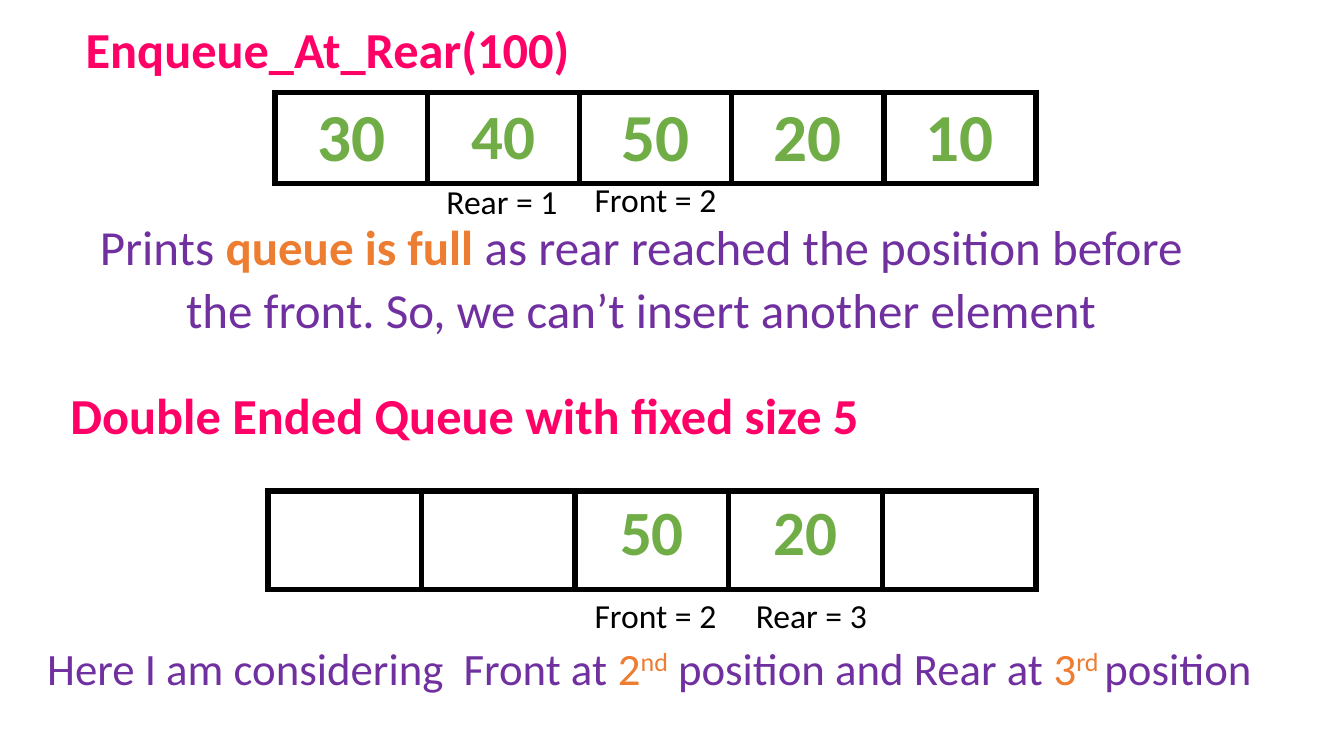
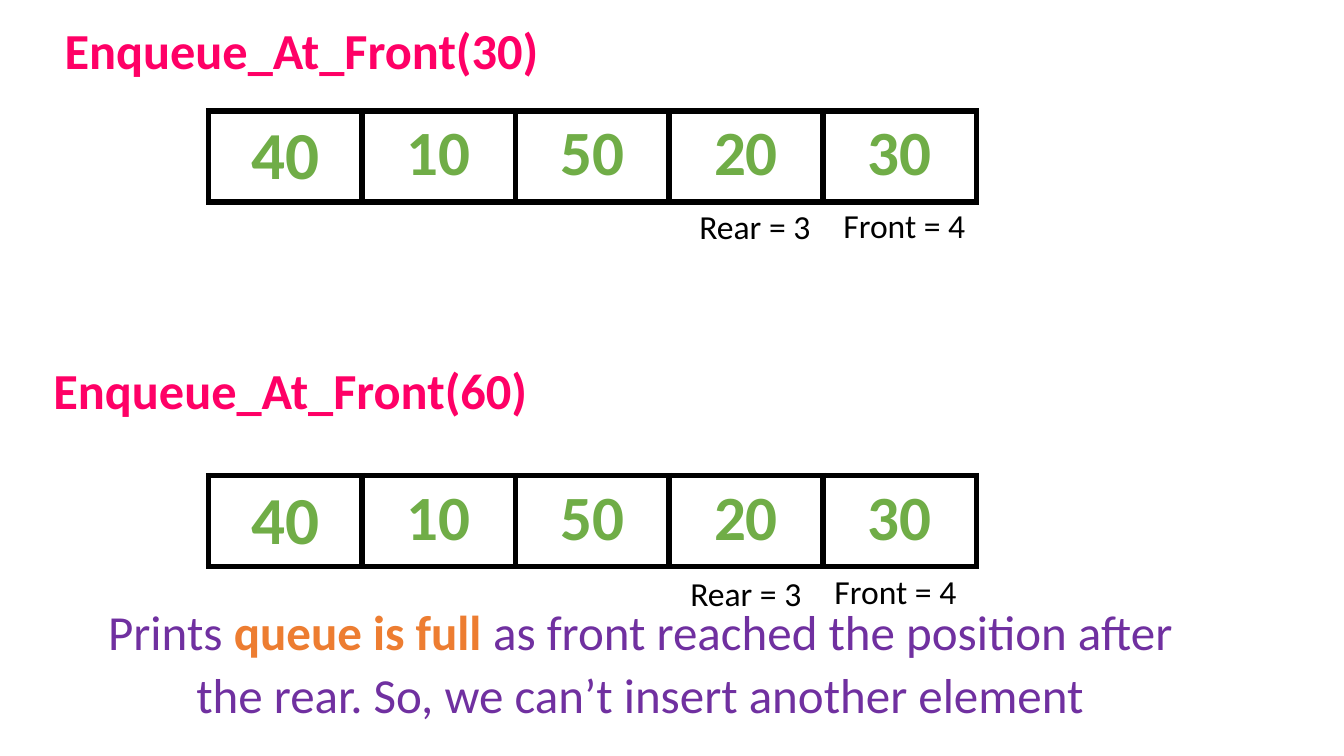
from lxml import etree
from pptx import Presentation
from pptx.dml.color import RGBColor
from pptx.enum import text
from pptx.oxml.ns import qn
from pptx.util import Pt

FONT = "Calibri"
PINK, GREEN, PURPLE, ORANGE = "FF0066", "70AD47", "7030A0", "ED7D31"
BLACK, WHITE = "000000", "FFFFFF"
CENTER, LEFT = text.PP_ALIGN.CENTER, text.PP_ALIGN.LEFT
MIDDLE, TOP = text.MSO_ANCHOR.MIDDLE, text.MSO_ANCHOR.TOP

# A note is a list of (text, style) runs
NOTE_STYLES = {
    "plain": {"color": PURPLE},
    "key": {"color": ORANGE},
    "bold": {"color": ORANGE, "bold": True},
    "super": {"color": ORANGE, "raised": True},
}


def full_note(tail):
    return [("Prints ", "plain"), ("queue is full ", "bold"), (tail, "plain")]


POSITION_NOTE = [
    ("Here I am considering  Front at ", "plain"), ("2", "key"), ("nd", "super"),
    (" position and Rear at ", "plain"), ("3", "key"), ("rd ", "super"),
    ("position", "plain"),
]

# A queue cell is (value, size, anchor)
EMPTY = ("", 45, TOP)
FRONT_QUEUE = [("40", 48, MIDDLE)] + [(v, 45, TOP) for v in ("10", "50", "20", "30")]
REAR_QUEUE = [(v, 45 if v == "40" else 48, MIDDLE)
              for v in ("30", "40", "50", "20", "10")]
START_QUEUE = [EMPTY, EMPTY, ("50", 45, TOP), ("20", 45, TOP), EMPTY]

# Places are (left, top); queues add column width and row height,
# notes add width, size and alignment
SLIDES = [
    {
        "headings": [("Enqueue_At_Rear(100)", 54, 9.4),
                     ("Double Ended Queue with fixed size 5", 43.2, 270.7)],
        "queues": [(REAR_QUEUE, 196.6, 66.2, 108.7, 65),
                   (START_QUEUE, 191.5, 350.6, 109.7, 70.6)],
        "labels": [("Front = 2", 417.6, 124.6), ("Rear = 1", 311.8, 126),
                   ("Front = 2", 417.6, 421.6), ("Rear = 3", 532.8, 421.2)],
        "notes": [(full_note("as rear reached the position before the front. "
                             "So, we can’t insert another element"),
                   60.5, 148.3, 795.6, 35, CENTER),
                  (POSITION_NOTE, 26.6, 451.4, 944.6, 32, LEFT)],
    },
    {
        "headings": [("Enqueue_At_Front(30)", 38.9, 10),
                     ("Enqueue_At_Front(60)", 31, 252.7)],
        "queues": [(FRONT_QUEUE, 149, 79.2, 109.7, 65),
                   (FRONT_QUEUE, 149, 339.8, 109.7, 65)],
        "labels": [("Front = 4", 595.4, 142.6), ("Rear = 3", 492.5, 143.3),
                   ("Front = 4", 589, 403.9), ("Rear = 3", 486, 405.4)],
        "notes": [(full_note("as front reached the position after the rear. "
                             "So, we can’t insert another element"),
                   59.8, 423.4, 795.6, 35, CENTER)],
    },
]


def rgb(value):
    return RGBColor.from_string(value)


def style_run(r, size, color, bold=False, raised=False):
    r.font.name, r.font.size, r.font.bold = FONT, Pt(size), bold
    r.font.color.rgb = rgb(color)
    if raised:
        r._r.get_or_add_rPr().set("baseline", "30000")


def add_box(slide, left, top, width, height):
    sp = slide.shapes.add_textbox(Pt(left), Pt(top), Pt(width), Pt(height))
    sp.text_frame.word_wrap = True
    return sp


def add_line(sp, content, size, color, bold=False):
    """Fill a shape with one left-aligned, top-anchored line."""
    tf = sp.text_frame
    tf.text = content
    tf.vertical_anchor = TOP
    p = tf.paragraphs[0]
    p.alignment = LEFT
    style_run(p.runs[0], size, color, bold)


def add_heading(slide, index, content, left, top):
    """The first heading is the slide title; later ones are text boxes."""
    place = (left, top, 630, 51)
    if index == 0:
        sp = slide.shapes.title
        sp.left, sp.top, sp.width, sp.height = map(Pt, place)
    else:
        sp = add_box(slide, *place)
    add_line(sp, content, 36, PINK, bold=True)


def add_borders(cell, color=BLACK, width=4.5):
    tcPr = cell._tc.get_or_add_tcPr()
    for side in ("lnL", "lnR", "lnT", "lnB"):
        ln = etree.SubElement(tcPr, qn("a:" + side), w=str(Pt(width)))
        fill = etree.SubElement(ln, qn("a:solidFill"))
        etree.SubElement(fill, qn("a:srgbClr"), val=color)


def add_queue(slide, cells, left, top, col_width, row_height):
    frame = slide.shapes.add_table(1, len(cells), Pt(left), Pt(top),
                                   Pt(col_width * len(cells)), Pt(row_height))
    table = frame.table
    for i, (value, size, anchor) in enumerate(cells):
        table.columns[i].width = Pt(col_width)
        cell = table.cell(0, i)
        add_borders(cell)
        cell.fill.solid()
        cell.fill.fore_color.rgb = rgb(WHITE)
        cell.vertical_anchor = anchor
        if value:
            cell.text = value
            p = cell.text_frame.paragraphs[0]
            p.alignment = CENTER
            style_run(p.runs[0], size, GREEN, bold=True)


def add_note(slide, runs, left, top, width, size, align):
    p = add_box(slide, left, top, width, 47).text_frame.paragraphs[0]
    p.alignment, p.line_spacing, p.space_after = align, 1.07, Pt(8)
    for content, style in runs:
        r = p.add_run()
        r.text = content
        style_run(r, size, **NOTE_STYLES[style])


def main():
    prs = Presentation()
    prs.slide_width, prs.slide_height = Pt(960), Pt(540)
    title_only = prs.slide_layouts[5]
    for spec_data in SLIDES:
        slide = prs.slides.add_slide(title_only)
        for i, heading in enumerate(spec_data["headings"]):
            add_heading(slide, i, *heading)
        for queue in spec_data["queues"]:
            add_queue(slide, *queue)
        for content, left, top in spec_data["labels"]:
            add_line(add_box(slide, left, top, 125, 36), content, 24, BLACK)
        for note in spec_data["notes"]:
            add_note(slide, *note)
    prs.save("out.pptx")


if __name__ == "__main__":
    main()
